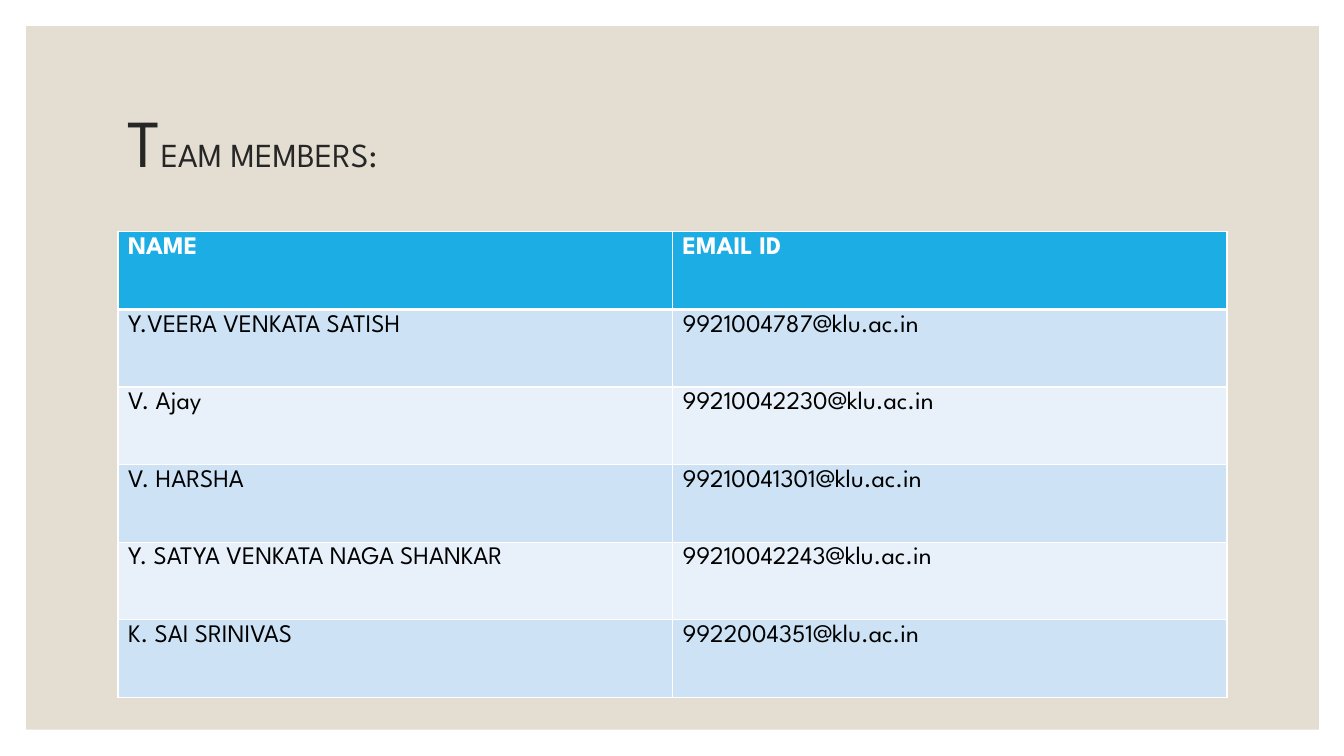
"""Build the team members slide with its contact table."""
from dataclasses import dataclass

from lxml import etree
from pptx import Presentation
from pptx.dml.color import RGBColor
from pptx.enum.shapes import MSO_SHAPE
from pptx.enum.text import MSO_ANCHOR
from pptx.oxml.ns import qn
from pptx.util import Inches, Pt

RECTANGLE = MSO_SHAPE.RECTANGLE
MIDDLE = MSO_ANCHOR.MIDDLE
FONT = "League Spartan"
HEADER_FILL = "1CADE4"
BAND_FILLS = ("CDE3F5", "E8F1FA")
WHITE = "FFFFFF"
ROW_HEIGHT = 0.77
COLUMN_WIDTH = 5.5


@dataclass(frozen=True)
class Row:
    name: str
    email: str


HEADER = Row("NAME", "EMAIL ID")
MEMBERS = (
    Row("Y.VEERA VENKATA SATISH", "9921004787@klu.ac.in"),
    Row("V. Ajay", "99210042230@klu.ac.in"),
    Row("V. HARSHA", "99210041301@klu.ac.in"),
    Row("Y. SATYA VENKATA NAGA SHANKAR", "99210042243@klu.ac.in"),
    Row("K. SAI SRINIVAS", "9922004351@klu.ac.in"),
)


def color(value: str) -> RGBColor:
    return RGBColor.from_string(value)


def add_panel(slide) -> None:
    panel = slide.shapes.add_shape(
        RECTANGLE, Inches(0.26), Inches(0.26), Inches(12.82), Inches(6.98)
    )
    panel.shadow.inherit = False
    panel.fill.solid()
    panel.fill.fore_color.rgb = color("E3DED1")
    panel.line.fill.background()


def add_title(slide) -> None:
    title = slide.shapes.add_textbox(Inches(1.17), Inches(0.7), Inches(11), Inches(1.5))
    frame = title.text_frame
    frame.word_wrap = True
    frame.vertical_anchor = MIDDLE
    paragraph = frame.paragraphs[0]
    paragraph.line_spacing = 0.9
    paragraph.font.name = FONT
    paragraph.font.color.rgb = color("262626")
    for text, size in (("T", 48), ("EAM MEMBERS:", 24)):
        run = paragraph.add_run()
        run.text = text
        run.font.size = Pt(size)


def add_borders(cell, top: float, bottom: float) -> None:
    properties = cell._tc.get_or_add_tcPr()
    for side, width in (("L", 1), ("R", 1), ("T", top), ("B", bottom)):
        border = etree.SubElement(properties, qn(f"a:ln{side}"), w=str(Pt(width)))
        fill = etree.SubElement(border, qn("a:solidFill"))
        etree.SubElement(fill, qn("a:srgbClr"), val=WHITE)


def fill_cell(cell, text: str, row_index: int) -> None:
    is_header = row_index == 0
    add_borders(cell, top=3 if row_index == 1 else 1, bottom=3 if is_header else 1)
    cell.fill.solid()
    cell.fill.fore_color.rgb = color(
        HEADER_FILL if is_header else BAND_FILLS[(row_index - 1) % 2]
    )
    cell.text = text
    font = cell.text_frame.paragraphs[0].font
    font.name = FONT
    font.size = Pt(18)
    font.bold = is_header
    font.color.rgb = color(WHITE if is_header else "000000")


def add_member_table(slide) -> None:
    rows = (HEADER, *MEMBERS)
    table = slide.shapes.add_table(
        len(rows), 2, Inches(1.17), Inches(2.3),
        Inches(2 * COLUMN_WIDTH), Inches(len(rows) * ROW_HEIGHT),
    ).table
    for row_index, row in enumerate(rows):
        for column_index, text in enumerate((row.name, row.email)):
            fill_cell(table.cell(row_index, column_index), text, row_index)


def main() -> None:
    presentation = Presentation()
    presentation.slide_width = Inches(13.33)
    presentation.slide_height = Inches(7.5)
    slide = presentation.slides.add_slide(presentation.slide_layouts[6])
    add_panel(slide)
    add_title(slide)
    add_member_table(slide)
    presentation.save("out.pptx")


if __name__ == "__main__":
    main()
